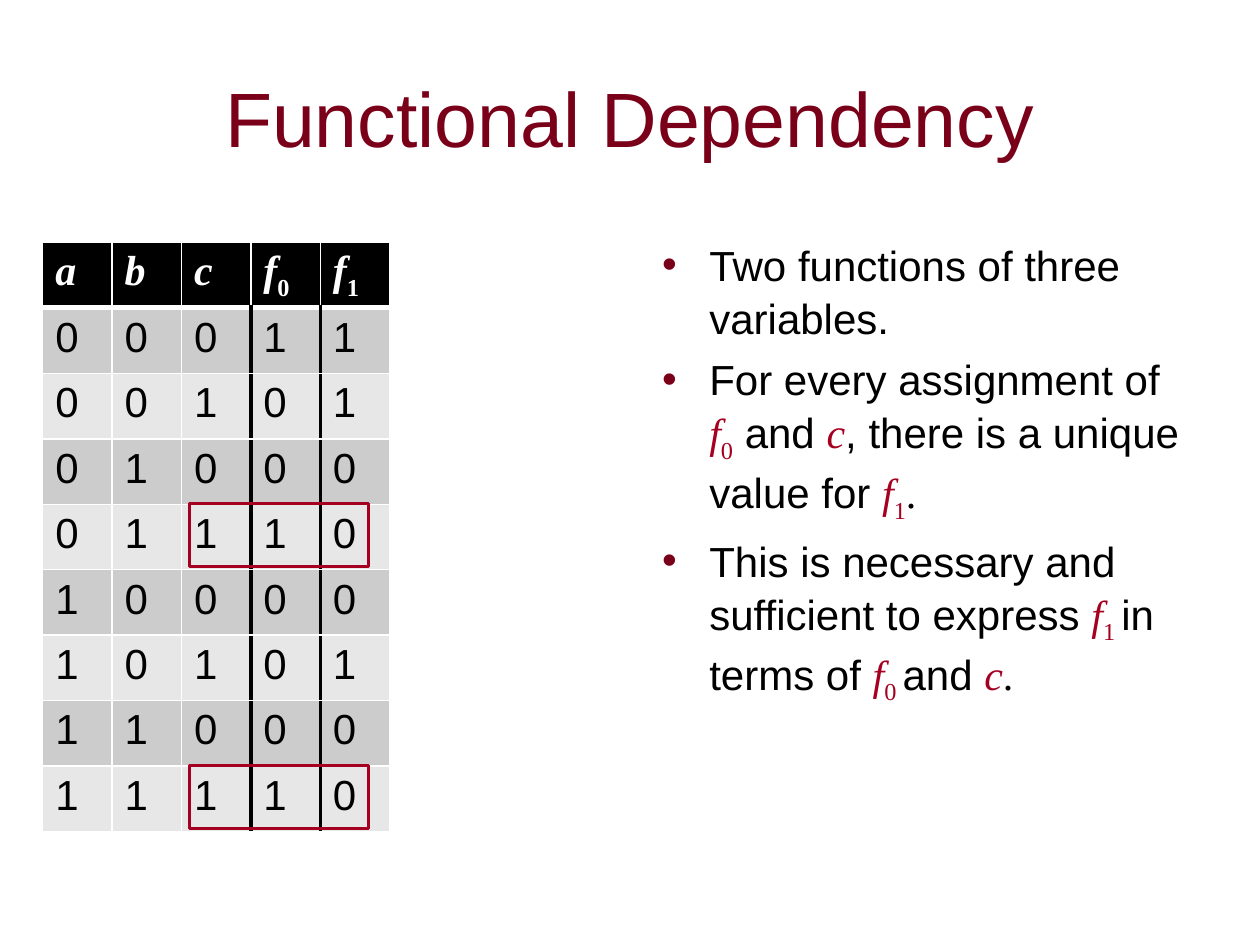
from lxml import etree
from pptx import Presentation
from pptx.dml.color import RGBColor
from pptx.enum.shapes import MSO_SHAPE
from pptx.enum.text import MSO_ANCHOR, PP_ALIGN
from pptx.oxml.ns import qn
from pptx.util import Cm, Pt

RECT = MSO_SHAPE.RECTANGLE
MIDDLE = MSO_ANCHOR.MIDDLE
CENTER = PP_ALIGN.CENTER

SANS, SERIF = "Arial", "Times New Roman"
MAROON, RED, BLACK, WHITE = "7A0019", "A50021", "000000", "FFFFFF"
BANDS = ["CCCCCC", "E7E7E7"]
ROW, COL = 1.32, 1.4

HEAD = ["a", "b", "c", "f0", "f1"]
BITS = ["00011", "00101", "01000", "01110",
        "10000", "10101", "11000", "11110"]
# Dollar signs enclose variables: a letter and its subscript
POINTS = [
    "Two functions of three variables.",
    "For every assignment of $f0$ and $c$, there is a unique value for $f1$.",
    "This is necessary and sufficient to express $f1 $in terms of "
    "$f0 $and $c$.",
]


def paint(target, color):
    target.rgb = RGBColor.from_string(color)


def style(font, size, face, color):
    font.size, font.name = Pt(size), face
    paint(font.color, color)


def add_run(para, text, face, color):
    run = para.add_run()
    run.text = text
    run.font.name = face
    paint(run.font.color, color)
    return run


def add_var(para, name, color):
    """Write an italic letter followed by its subscript."""
    add_run(para, name[0], SERIF, color).font.italic = True
    if name[1:]:
        sub = add_run(para, name[1:], SERIF, color)
        sub.font._element.set("baseline", "-25000")


def add_edge(cell, side, color, width):
    props = cell._tc.get_or_add_tcPr()
    line = etree.SubElement(props, qn(f"a:ln{side}"), w=str(Pt(width)))
    fill = etree.SubElement(line, qn("a:solidFill"))
    etree.SubElement(fill, qn("a:srgbClr"), val=color)


def format_cell(cell, row, col):
    """Set the borders, then the fill of one cell."""
    thin, thick = (WHITE, 1), (BLACK, 2.25)
    edges = {
        "L": thick if row and col >= 3 else thin,
        "R": thick if row and col in (2, 3) else thin,
        "T": (WHITE, 3) if row == 1 else thin,
        "B": (WHITE, 3) if row == 0 else thin,
    }
    for side, (color, width) in edges.items():
        add_edge(cell, side, color, width)
    cell.fill.solid()
    paint(cell.fill.fore_color, BANDS[(row - 1) % 2] if row else BLACK)


def add_title(slide, x, y, w, h):
    title = slide.shapes.title
    title.left, title.top, title.width, title.height = map(Cm, (x, y, w, h))
    frame = title.text_frame
    frame.text = "Functional Dependency"
    frame.vertical_anchor = MIDDLE
    para = frame.paragraphs[0]
    para.alignment = CENTER
    style(para.font, 44, SANS, MAROON)


def add_truth(slide, x, y):
    """Place the truth table and frame its two matching rows."""
    rows = [HEAD, *BITS]
    count, wide = len(rows), len(HEAD)
    table = slide.shapes.add_table(count, wide, Cm(x), Cm(y),
                                   Cm(wide * COL), Cm(count * ROW)).table
    for col in table.columns:
        col.width = Cm(COL)
    for r, row in enumerate(rows):
        table.rows[r].height = Cm(ROW)
        for c, text in enumerate(row):
            cell = table.cell(r, c)
            format_cell(cell, r, c)
            para = cell.text_frame.paragraphs[0]
            if r:
                para.text = text
                style(para.font, 24, SANS, BLACK)
            else:
                add_var(para, text, WHITE)
                style(para.font, 24, SERIF, WHITE)
            para.font.bold = r == 0
            for run in para.runs:
                run.font.bold = r == 0

    # Frames around c, f0 and f1
    for r in (4, 8):
        box = slide.shapes.add_shape(RECT, Cm(x + 2 * COL + 0.16),
                                     Cm(y + r * ROW), Cm(3.61), Cm(1.27))
        box.shadow.inherit = False
        box.fill.background()
        paint(box.line.color, RED)
        box.line.width = Pt(1.75)


def add_bullet(para):
    props = para._p.get_or_add_pPr()
    props.set("marL", str(Cm(0.95)))
    props.set("indent", str(Cm(-0.95)))
    color = etree.SubElement(props, qn("a:buClr"))
    etree.SubElement(color, qn("a:srgbClr"), val=MAROON)
    etree.SubElement(props, qn("a:buFont"), typeface=SANS)
    etree.SubElement(props, qn("a:buChar"), char="•")


def add_points(slide, x, y, w, h):
    frame = slide.shapes.add_textbox(Cm(x), Cm(y), Cm(w), Cm(h)).text_frame
    frame.word_wrap = True
    for i, text in enumerate(POINTS):
        para = frame.add_paragraph() if i else frame.paragraphs[0]
        add_bullet(para)
        para.line_spacing = 1.05
        if i:
            para.space_before = Pt(4.8)
        style(para.font, 24, SANS, BLACK)
        for k, part in enumerate(text.split("$")):
            if k % 2:
                add_var(para, part, RED)
            elif part:
                add_run(para, part, SERIF if part == "." else SANS, BLACK)
        for run in para.runs:
            run.font.size = Pt(24)


def main():
    deck = Presentation()
    deck.slide_width, deck.slide_height = Cm(25.4), Cm(19.05)
    slide = deck.slides.add_slide(deck.slide_layouts[5])
    add_title(slide, 1.27, 0.76, 22.86, 3.18)
    add_truth(slide, 0.86, 4.88)
    add_points(slide, 13.1, 4.65, 11.23, 10.97)
    deck.save("out.pptx")


if __name__ == "__main__":
    main()
